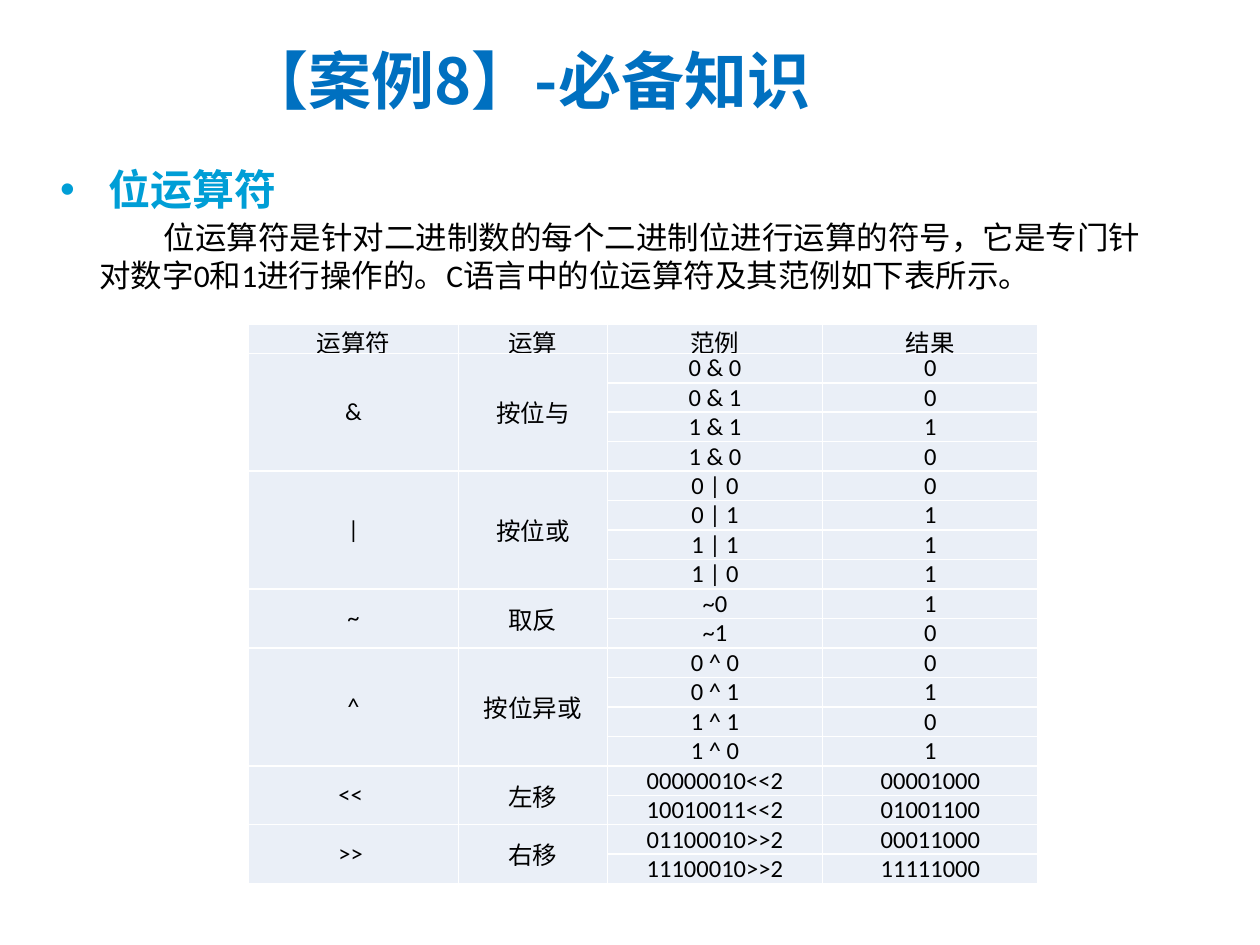
from dataclasses import dataclass

from lxml.etree import SubElement
from pptx import Presentation
from pptx.dml.color import RGBColor
from pptx.enum.text import MSO_ANCHOR, MSO_AUTO_SIZE, PP_ALIGN
from pptx.oxml.ns import qn
from pptx.util import Inches, Pt


@dataclass(frozen=True)
class Theme:
    latin: str = "Calibri"
    chinese: str = "Noto Sans CJK SC"
    title_size: int = 36
    heading_size: int = 24
    body_size: int = 18
    cell_size: int = 14
    title_color: str = "0070C0"
    heading_color: str = "009ED6"
    text_color: str = "000000"
    cell_fill: str = "EAEFF7"
    border: str = "FFFFFF"


THEME = Theme()
INTRO = ("位运算符是针对二进制数的每个二进制位进行运算的符号，它是专门针对数字0和1进行操作的。"
         "C语言中的位运算符及其范例如下表所示。")
HEADERS = ("运算符", "运算", "范例", "结果")
OPERATORS = [
    ("&", "按位与", [("0 & 0", "0"), ("0 & 1", "0"), ("1 & 1", "1"), ("1 & 0", "0")]),
    ("|", "按位或", [("0 | 0", "0"), ("0 | 1", "1"), ("1 | 1", "1"), ("1 | 0", "1")]),
    ("~", "取反", [("~0", "1"), ("~1", "0")]),
    ("^", "按位异或", [("0 ^ 0", "0"), ("0 ^ 1", "1"), ("1 ^ 1", "0"), ("1 ^ 0", "1")]),
    ("<< ", "左移", [("00000010<<2", "00001000"), ("10010011<<2", "01001100")]),
    (">> ", "右移", [("01100010>>2", "00011000"), ("11100010>>2", "11111000")]),
]
COLUMN_WIDTHS = (1.67, 1.18, 1.71, 1.71)
TABLE_HEIGHT = 4.43


def set_attributes(target, values):
    for name, value in values.items():
        setattr(target, name, value)


def write(paragraph, text, size, color, bold=False, latin=THEME.latin):
    """Add one run with its Latin and Chinese typefaces."""
    run = paragraph.add_run()
    run.text = text
    set_attributes(run.font, {"name": latin, "size": Pt(size), "bold": bold})
    run.font.color.rgb = RGBColor.from_string(color)
    SubElement(run.font._element, qn("a:ea"), typeface=THEME.chinese)


def indent(paragraph, left, first_line, bullet=None):
    properties = paragraph._p.get_or_add_pPr()
    properties.set("marL", str(Inches(left)))
    properties.set("indent", str(Inches(first_line)))
    if bullet:
        SubElement(properties, qn("a:buFont"), typeface="Arial")
        SubElement(properties, qn("a:buChar"), char=bullet)


def add_title(slide, text):
    title = slide.shapes.title
    set_attributes(title, {"left": Inches(1.85), "top": Inches(0.21),
                           "width": Inches(5.63), "height": Inches(0.84)})
    set_attributes(title.text_frame, {"vertical_anchor": MSO_ANCHOR.MIDDLE,
                                      "auto_size": MSO_AUTO_SIZE.NONE})
    paragraph = title.text_frame.paragraphs[0]
    paragraph.alignment = PP_ALIGN.LEFT
    indent(paragraph, 0.62, -0.62)
    write(paragraph, text, THEME.title_size, THEME.title_color, True, THEME.chinese)


def add_text_paragraph(slide, left, top, width, height, wrap=True):
    """Add a text box that fits its text and return its paragraph."""
    box = slide.shapes.add_textbox(*map(Inches, (left, top, width, height)))
    set_attributes(box.text_frame, {"word_wrap": wrap,
                                    "auto_size": MSO_AUTO_SIZE.SHAPE_TO_FIT_TEXT})
    return box.text_frame.paragraphs[0]


def add_heading(slide, text):
    paragraph = add_text_paragraph(slide, 0.38, 1.05, 1.93, 0.63, wrap=False)
    paragraph.line_spacing = 1.5
    indent(paragraph, 0.38, -0.38, "•")
    write(paragraph, text, THEME.heading_size, THEME.heading_color, True)


def add_intro(slide, text):
    paragraph = add_text_paragraph(slide, 0.69, 1.68, 8.49, 0.71)
    indent(paragraph, 0, 0.51)
    write(paragraph, text, THEME.body_size, THEME.text_color)


def format_cell(cell):
    set_attributes(cell, {"margin_left": Inches(0.07), "margin_right": Inches(0.07),
                          "margin_top": 0, "margin_bottom": 0})
    properties = cell._tc.get_or_add_tcPr()
    for side in ("lnL", "lnR", "lnT", "lnB"):
        line = SubElement(properties, qn(f"a:{side}"), w=str(Pt(1)))
        SubElement(SubElement(line, qn("a:solidFill")), qn("a:srgbClr"), val=THEME.border)
    cell.fill.solid()
    cell.fill.fore_color.rgb = RGBColor.from_string(THEME.cell_fill)


def fill_cell(cell, text, anchor=MSO_ANCHOR.TOP):
    cell.vertical_anchor = anchor
    paragraph = cell.text_frame.paragraphs[0]
    paragraph.alignment = PP_ALIGN.CENTER
    write(paragraph, text, THEME.cell_size, THEME.text_color)


def add_operator_table(slide):
    row_count = 1 + sum(len(examples) for _, _, examples in OPERATORS)
    frame = slide.shapes.add_table(row_count, len(HEADERS), Inches(1.97), Inches(2.57),
                                   Inches(sum(COLUMN_WIDTHS)), Inches(TABLE_HEIGHT))
    table = frame.table
    set_attributes(table, {"first_row": False, "horz_banding": False})
    for column, width in zip(table.columns, COLUMN_WIDTHS):
        column.width = Inches(width)
    for cell in table.iter_cells():
        format_cell(cell)
    for column, header in enumerate(HEADERS):
        fill_cell(table.cell(0, column), header)

    first = 1
    for symbol, operation, examples in OPERATORS:
        last = first + len(examples) - 1
        for column, text in enumerate((symbol, operation)):
            table.cell(first, column).merge(table.cell(last, column))
            fill_cell(table.cell(first, column), text, MSO_ANCHOR.MIDDLE)
        for row, example in enumerate(examples, first):
            for column, text in enumerate(example, 2):
                fill_cell(table.cell(row, column), text)
        first = last + 1


def main():
    presentation = Presentation()
    set_attributes(presentation, {"slide_width": Inches(10), "slide_height": Inches(7.5)})
    slide = presentation.slides.add_slide(presentation.slide_layouts[5])
    add_title(slide, "【案例8】-必备知识")
    add_heading(slide, "位运算符")
    add_intro(slide, INTRO)
    add_operator_table(slide)
    presentation.save("out.pptx")


if __name__ == "__main__":
    main()
